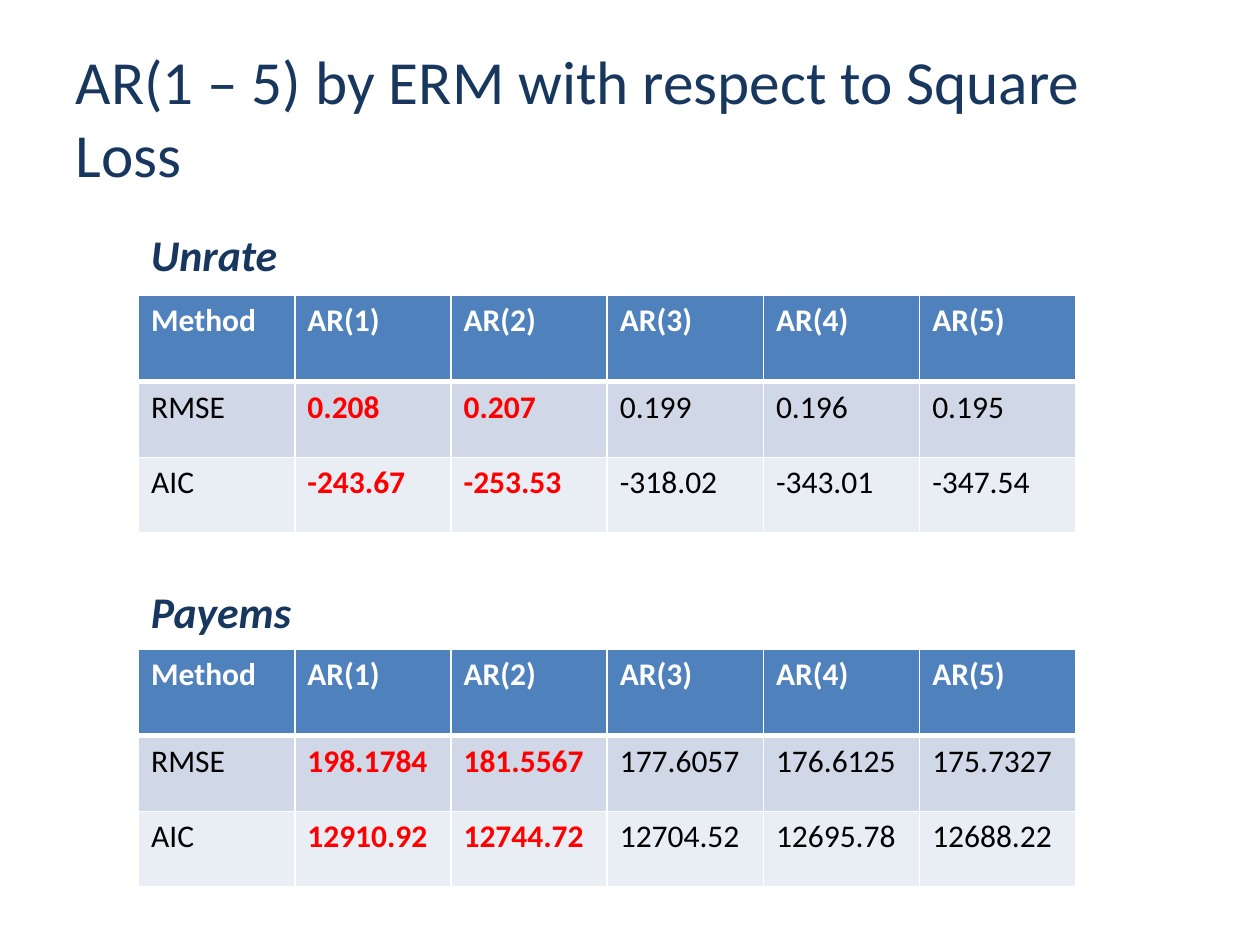
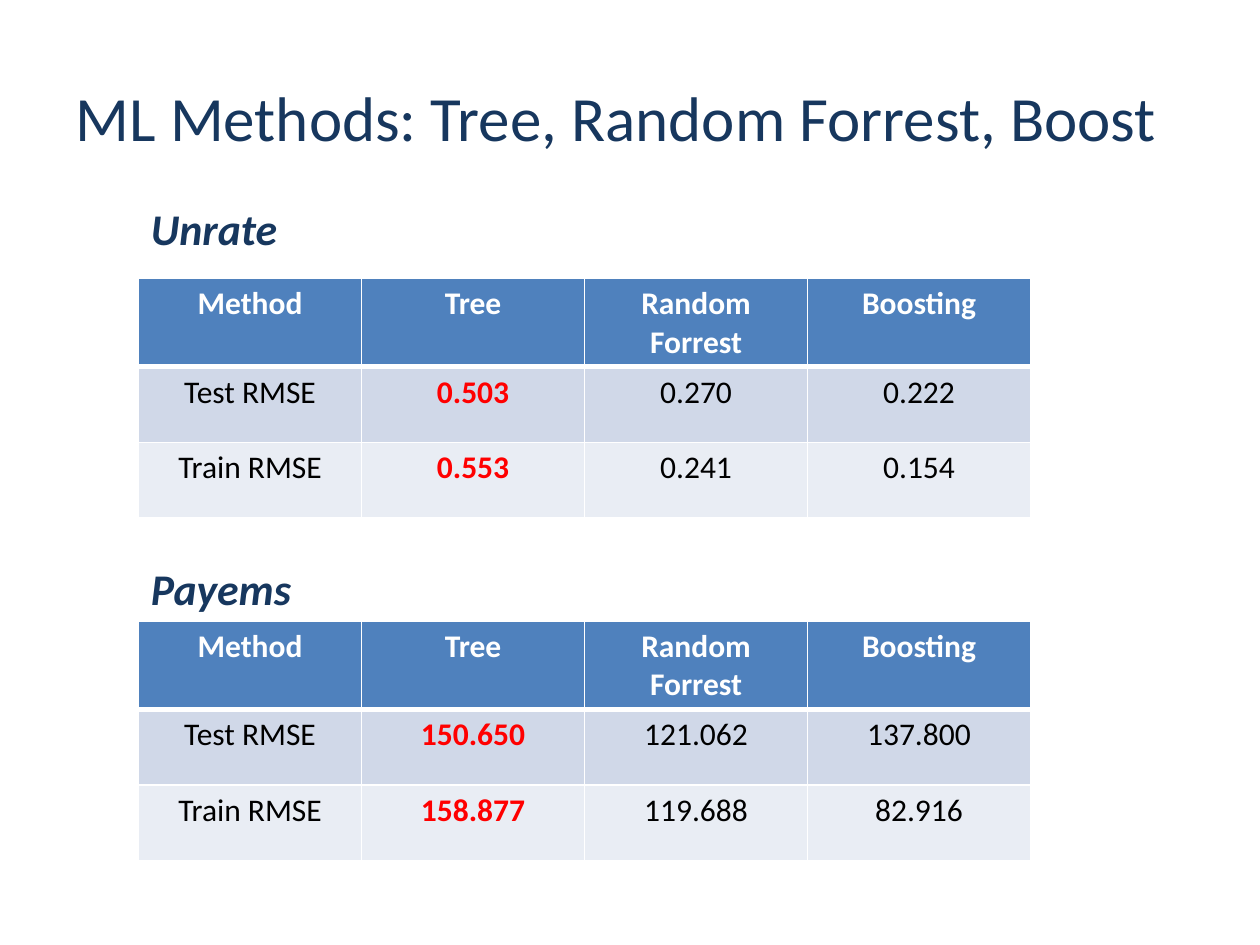
from lxml.etree import SubElement
from pptx import Presentation
from pptx.dml.color import RGBColor
from pptx.enum.text import MSO_ANCHOR, MSO_AUTO_SIZE, PP_ALIGN
from pptx.oxml.ns import qn
from pptx.util import Inches, Pt

NAVY, BLUE, RED, BLACK, WHITE = "17375E", "4F81BD", "FF0000", "000000", "FFFFFF"
BAND_FILLS = ["D0D8E8", "E9EDF4"]
ROW_HEIGHTS = [0.69, 0.6, 0.6]
LEFT = 1.1

TITLE = {"name": "Calibri", "bold": False}
HEADING = {"name": "Calibri", "size": Pt(25), "bold": True, "italic": True}
CELL = {"name": "Calibri", "size": Pt(18), "bold": False}
STRONG_CELL = {**CELL, "bold": True}


def color(hex_string):
    return RGBColor.from_string(hex_string)


def write(frame, text, style, hex_string, align=PP_ALIGN.LEFT):
    para = frame.paragraphs[0]
    para.alignment = align
    span = para.add_run()
    span.text = text
    for name, value in style.items():
        setattr(span.font, name, value)
    span.font.color.rgb = color(hex_string)


def add_title(page, text, size):
    box = page.shapes.title
    box.left, box.top, box.width, box.height = map(Inches, (0.5, 0.3, 9, 1.25))
    frame = box.text_frame
    frame.auto_size = MSO_AUTO_SIZE.NONE
    frame.vertical_anchor = MSO_ANCHOR.MIDDLE
    write(frame, text, {**TITLE, "size": Pt(size)}, NAVY)


def add_heading(page, text, top):
    box = page.shapes.add_textbox(Inches(LEFT), Inches(top), Inches(1.37), Inches(0.52))
    box.text_frame.word_wrap = True
    write(box.text_frame, text, HEADING, NAVY)


def set_borders(cell, row):
    """Rule the cell in white, with a thick line under the header row."""
    widths = {"L": 1, "R": 1, "T": 3 if row == 1 else 1, "B": 3 if row == 0 else 1}
    properties = cell._tc.get_or_add_tcPr()
    for side, width in widths.items():
        line = SubElement(properties, qn(f"a:ln{side}"), w=str(Pt(width)))
        fill = SubElement(line, qn("a:solidFill"))
        SubElement(fill, qn("a:srgbClr"), val=WHITE)


def add_results(page, rows, top, column_width, strong_columns, align):
    """Add a table of results whose strong columns are bold and red."""
    count = len(rows[0])
    table = page.shapes.add_table(
        len(rows), count, Inches(LEFT), Inches(top),
        Inches(column_width * count), Inches(sum(ROW_HEIGHTS))).table
    for column in table.columns:
        column.width = Inches(column_width)
    for r, (values, height) in enumerate(zip(rows, ROW_HEIGHTS)):
        table.rows[r].height = Inches(height)
        for c, value in enumerate(values):
            cell = table.cell(r, c)
            set_borders(cell, r)
            cell.fill.solid()
            cell.fill.fore_color.rgb = color(BAND_FILLS[(r - 1) % 2] if r else BLUE)
            if r == 0:
                style, ink = STRONG_CELL, WHITE
            elif c in strong_columns:
                style, ink = STRONG_CELL, RED
            else:
                style, ink = CELL, BLACK
            write(cell.text_frame, value, style, ink, align)


def add_results_page(deck, title, title_size, header, sections, **table_format):
    page = deck.slides.add_slide(deck.slide_layouts[5])
    add_title(page, title, title_size)
    for heading, heading_top, table_top, body in sections:
        add_heading(page, heading, heading_top)
        add_results(page, [header, *body], table_top, **table_format)


def main():
    deck = Presentation()
    deck.slide_width, deck.slide_height = Inches(10), Inches(7.5)
    add_results_page(
        deck, "AR(1 – 5) by ERM with respect to Square Loss", 35,
        ["Method"] + [f"AR({order})" for order in range(1, 6)],
        [("Unrate", 1.76, 2.34, [
            ["RMSE", "0.208", "0.207", "0.199", "0.196", "0.195"],
            ["AIC", "-243.67", "-253.53", "-318.02", "-343.01", "-347.54"]]),
         ("Payems", 4.59, 5.15, [
             ["RMSE", "198.1784", "181.5567", "177.6057", "176.6125", "175.7327"],
             ["AIC", "12910.92", "12744.72", "12704.52", "12695.78", "12688.22"]])],
        column_width=1.24, strong_columns=(1, 2), align=PP_ALIGN.LEFT)
    add_results_page(
        deck, "ML Methods: Tree, Random Forrest, Boost", 36,
        ["Method", "Tree", "Random Forrest", "Boosting"],
        [("Unrate", 1.55, 2.21, [
            ["Test RMSE", "0.503", "0.270", "0.222"],
            ["Train RMSE", "0.553", "0.241", "0.154"]]),
         ("Payems", 4.41, 4.93, [
             ["Test RMSE", "150.650", "121.062", "137.800"],
             ["Train RMSE", "158.877", "119.688", "82.916"]])],
        column_width=1.77, strong_columns=(1,), align=PP_ALIGN.CENTER)
    deck.save("out.pptx")


if __name__ == "__main__":
    main()
